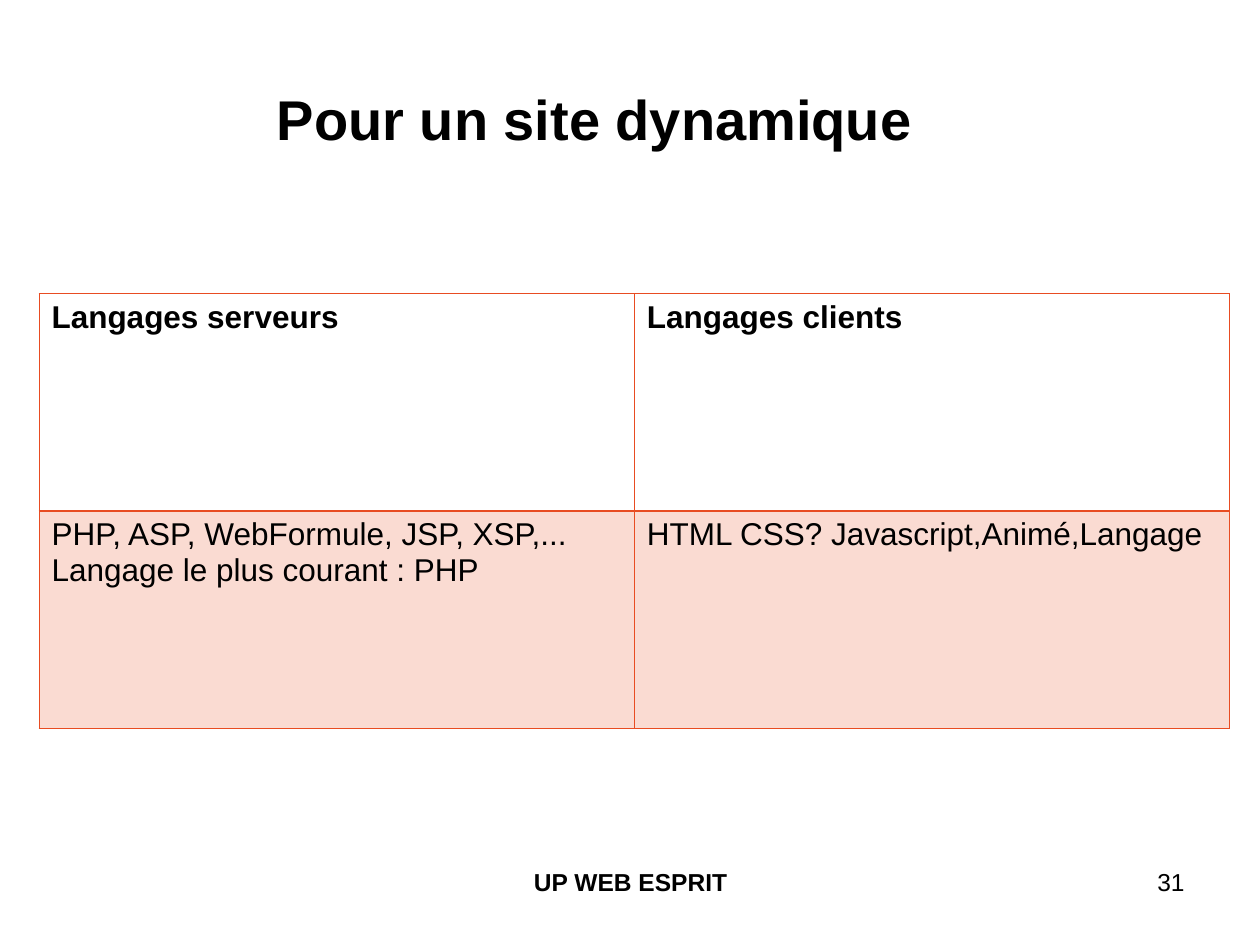
"""Build a slide comparing server and client languages for a dynamic site."""
from dataclasses import dataclass

from lxml import etree
from pptx import Presentation
from pptx import util as u
from pptx.dml.color import RGBColor
from pptx.enum import text
from pptx.oxml import ns

BLACK = RGBColor(0x00, 0x00, 0x00)
ORANGE = RGBColor(0xE8, 0x4C, 0x22)
TINT = 20
THIN, THICK = 0.45, 0.96


@dataclass
class Label:
    words: str
    left: float
    width: float
    align: text.PP_ALIGN
    bold: bool


@dataclass
class Row:
    cells: tuple[str, ...]
    bold: bool
    tinted: bool
    top: float
    bottom: float


LABELS = (
    Label("UP WEB ESPRIT", 3.42, 3.17, text.PP_ALIGN.CENTER, True),
    Label("31", 7.17, 2.33, text.PP_ALIGN.RIGHT, False),
)
ROWS = (
    Row(("Langages serveurs", "Langages clients"), True, False, THIN, THICK),
    Row(("PHP, ASP, WebFormule, JSP, XSP,...\nLangage le plus courant : PHP",
         "HTML CSS? Javascript,Animé,Langage"), False, True, THICK, THIN),
)


def write(tf, words: str, size: float, bold: bool, align: text.PP_ALIGN) -> None:
    """Fill a text frame with uniformly formatted paragraphs."""
    tf.word_wrap = True
    tf.text = words
    for p in tf.paragraphs:
        p.alignment = align
        p.font.name = "Arial"
        p.font.size = u.Pt(size)
        p.font.bold = bold
        p.font.color.rgb = BLACK


def draw_label(s, label: Label) -> None:
    """Draw one footer label."""
    box = s.shapes.add_textbox(u.Inches(label.left), u.Inches(6.83),
                               u.Inches(label.width), u.Inches(0.52))
    write(box.text_frame, label.words, 14, label.bold, label.align)


def add_border(cell, side: str, width: float) -> None:
    """Give one side of a cell an orange line."""
    ln = etree.SubElement(cell._tc.get_or_add_tcPr(), ns.qn(f"a:ln{side}"),
                          w=str(u.Pt(width)))
    fill = etree.SubElement(ln, ns.qn("a:solidFill"))
    etree.SubElement(fill, ns.qn("a:srgbClr"), val=str(ORANGE))


def draw_cell(cell, words: str, row: Row) -> None:
    """Write, outline and fill one table cell."""
    write(cell.text_frame, words, 18, row.bold, text.PP_ALIGN.JUSTIFY)
    for side, width in zip("LRTB", (THIN, THIN, row.top, row.bottom)):
        add_border(cell, side, width)
    if not row.tinted:
        cell.fill.background()
        return
    cell.fill.solid()
    cell.fill.fore_color.rgb = ORANGE
    color = cell._tc.tcPr.find(f"{ns.qn('a:solidFill')}/{ns.qn('a:srgbClr')}")
    etree.SubElement(color, ns.qn("a:alpha"), val=str(TINT * 1000))


def draw_table(s, rows: tuple[Row, ...]) -> None:
    """Draw the language table with equal rows and columns."""
    table = s.shapes.add_table(len(rows), len(rows[0].cells), u.Inches(0.31), u.Inches(2.33),
                               u.Inches(9.45), u.Inches(3.45)).table
    table.first_row = table.horz_banding = False
    for i, row in enumerate(rows):
        for j, words in enumerate(row.cells):
            draw_cell(table.cell(i, j), words, row)


def main() -> None:
    """Assemble and save the slide."""
    prs = Presentation()
    prs.slide_width, prs.slide_height = u.Inches(10), u.Inches(7.5)
    s = prs.slides.add_slide(prs.slide_layouts[5])
    title = s.shapes.title
    title.left, title.top = u.Inches(0.32), u.Inches(0.58)
    title.width, title.height = u.Inches(8.8), u.Inches(0.72)
    title.text_frame.vertical_anchor = text.MSO_ANCHOR.MIDDLE
    write(title.text_frame, "Pour un site dynamique", 32, True, text.PP_ALIGN.CENTER)
    for label in LABELS:
        draw_label(s, label)
    draw_table(s, ROWS)
    prs.save("out.pptx")


if __name__ == "__main__":
    main()
